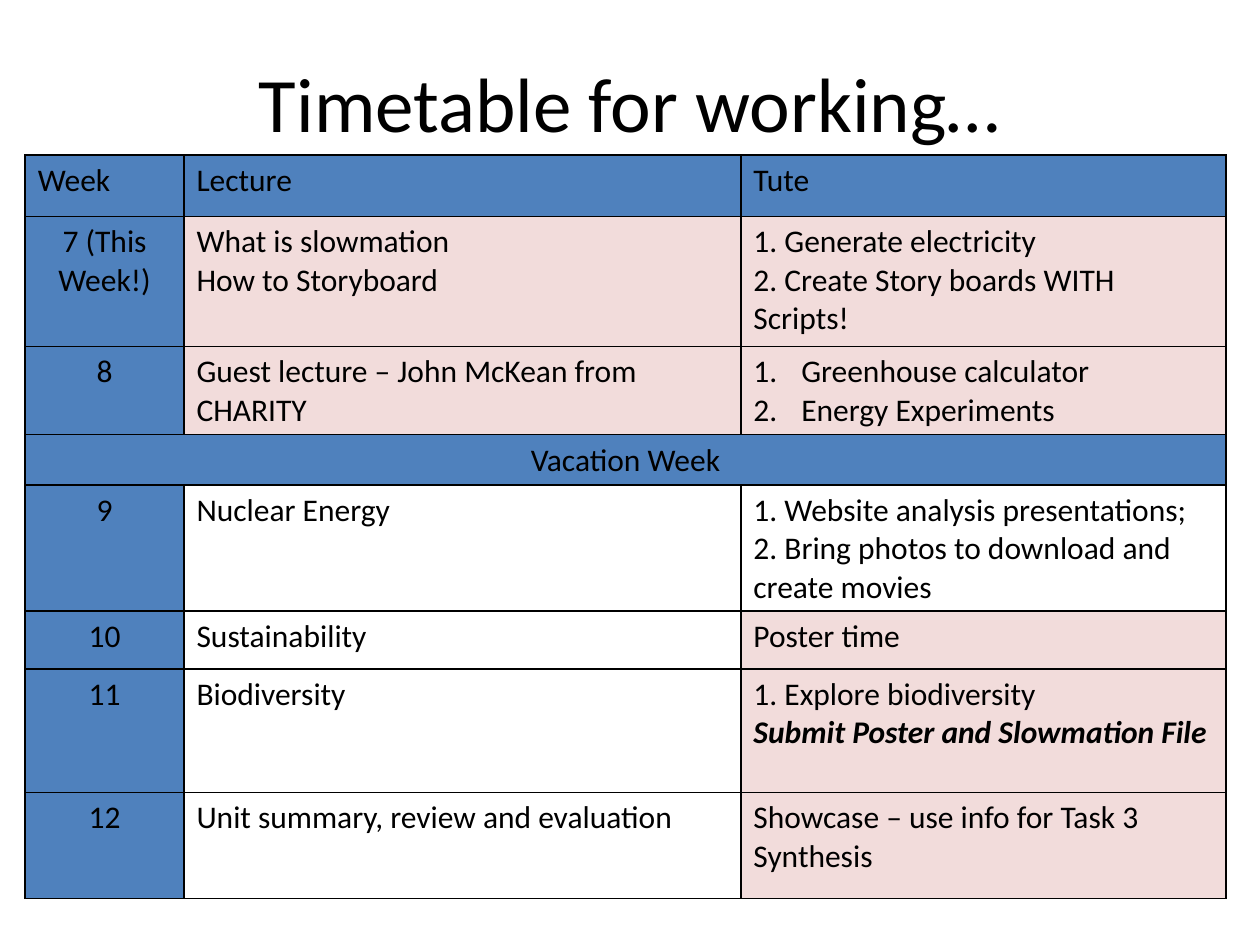
from lxml.etree import SubElement
from pptx import Presentation
from pptx.dml.color import RGBColor
from pptx.enum.text import MSO_ANCHOR, PP_ALIGN
from pptx.oxml.ns import qn
from pptx.util import Inches, Pt

COLORS = {"text": "000000", "border": "000000", "blue": "4F81BD", "pink": "F2DCDB"}
FONT = "Calibri"
COLUMN_WIDTHS = [1.26, 4.42, 3.85]
ROW_HEIGHTS = [0.49, 1.03, 0.69, 0.39, 0.68, 0.46, 0.98, 0.84]

# Each line of a cell is one paragraph
TIMETABLE = [
    ["Week", "Lecture", "Tute"],
    ["7 (This Week!)", "What is slowmation\nHow to Storyboard",
     "1. Generate electricity\n2. Create Story boards WITH Scripts!"],
    ["8", "Guest lecture – John McKean from CHARITY",
     "Greenhouse calculator\nEnergy Experiments"],
    ["Vacation Week", "", ""],
    ["9", "Nuclear Energy",
     "1. Website analysis presentations;\n2. Bring photos to download and create movies"],
    ["10", "Sustainability", "Poster time"],
    ["11", "Biodiversity", "1. Explore biodiversity\nSubmit Poster and Slowmation File"],
    ["12", "Unit summary, review and evaluation",
     "Showcase – use info for Task 3 Synthesis"],
]
HEADER_ROW, VACATION_ROW = 0, 3
PINK_CELLS = {(1, 1), (1, 2), (2, 1), (2, 2), (5, 2), (6, 2), (7, 2)}
NUMBERED_CELL = (2, 2)
EMPHASIS = "Submit Poster and Slowmation File"


def format_runs(paragraph, size, emphasis=False):
    for run in paragraph.runs:
        run.font.name = FONT
        run.font.size = Pt(size)
        run.font.bold = run.font.italic = emphasis
        run.font.color.rgb = RGBColor.from_string(COLORS["text"])


def number_paragraph(paragraph):
    properties = paragraph._p.get_or_add_pPr()
    properties.set("marL", str(Inches(0.38)))
    properties.set("indent", str(Inches(-0.38)))
    SubElement(properties, qn("a:buFont"), typeface="+mj-lt")
    SubElement(properties, qn("a:buAutoNum"), type="arabicPeriod")


def add_borders(cell):
    properties = cell._tc.get_or_add_tcPr()
    for side in ("lnL", "lnR", "lnT", "lnB"):
        line = SubElement(properties, qn(f"a:{side}"), w=str(Pt(1)))
        fill = SubElement(line, qn("a:solidFill"))
        SubElement(fill, qn("a:srgbClr"), val=COLORS["border"])


def fill_cell(cell, row, column):
    if column == 0 or row in (HEADER_ROW, VACATION_ROW):
        color = COLORS["blue"]
    elif (row, column) in PINK_CELLS:
        color = COLORS["pink"]
    else:
        cell.fill.background()
        return
    cell.fill.solid()
    cell.fill.fore_color.rgb = RGBColor.from_string(color)


def write_cell(cell, row, column, text):
    cell.text_frame.text = text
    for paragraph in cell.text_frame.paragraphs:
        if column == 0 and row != HEADER_ROW:
            paragraph.alignment = PP_ALIGN.CENTER
        if (row, column) == NUMBERED_CELL:
            number_paragraph(paragraph)
        format_runs(paragraph, 18, paragraph.text == EMPHASIS)


def add_title(slide, text):
    title = slide.shapes.add_textbox(Inches(0.5), Inches(0.3), Inches(9), Inches(1.01))
    frame = title.text_frame
    frame.word_wrap = True
    frame.vertical_anchor = MSO_ANCHOR.MIDDLE
    frame.text = text
    frame.paragraphs[0].alignment = PP_ALIGN.CENTER
    format_runs(frame.paragraphs[0], 44)


def add_timetable(slide):
    frame = slide.shapes.add_table(
        len(ROW_HEIGHTS), len(COLUMN_WIDTHS), Inches(0.2), Inches(1.23),
        Inches(sum(COLUMN_WIDTHS)), Inches(sum(ROW_HEIGHTS)))
    table = frame.table
    table.first_row = table.horz_banding = False
    for column, width in zip(table.columns, COLUMN_WIDTHS):
        column.width = Inches(width)
    for row, height in zip(table.rows, ROW_HEIGHTS):
        row.height = Inches(height)

    for row, texts in enumerate(TIMETABLE):
        for column, text in enumerate(texts):
            cell = table.cell(row, column)
            add_borders(cell)
            fill_cell(cell, row, column)
            if text:
                write_cell(cell, row, column, text)
    table.cell(VACATION_ROW, 0).merge(table.cell(VACATION_ROW, 2))


def main():
    presentation = Presentation()
    presentation.slide_width = Inches(10)
    presentation.slide_height = Inches(7.5)
    slide = presentation.slides.add_slide(presentation.slide_layouts[6])
    add_title(slide, "Timetable for working…")
    add_timetable(slide)
    presentation.save("out.pptx")


if __name__ == "__main__":
    main()
